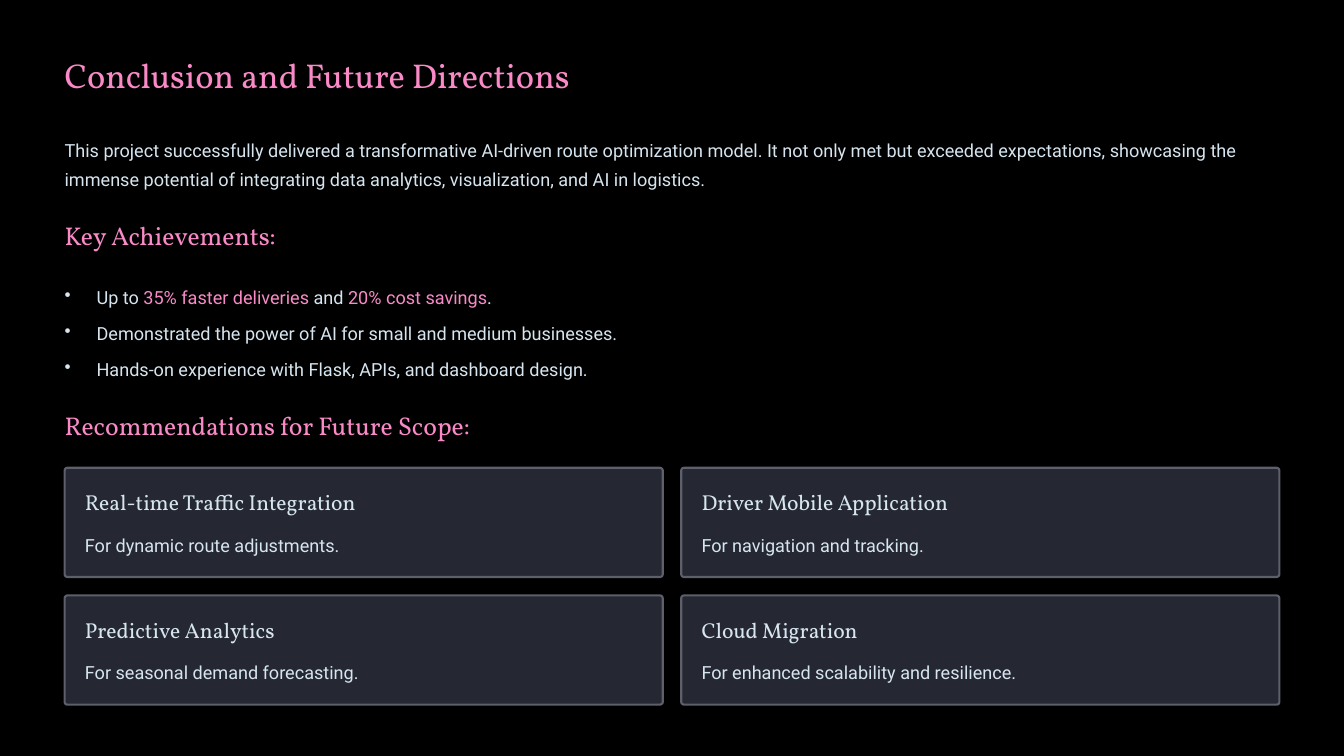
from lxml.etree import SubElement
from pptx import Presentation
from pptx.dml.color import RGBColor
from pptx.enum.shapes import MSO_SHAPE as SHAPE
from pptx.enum.text import MSO_ANCHOR as ANCHOR, MSO_AUTO_SIZE as AUTO, PP_ALIGN as ALIGN
from pptx.oxml.ns import qn
from pptx.util import Pt

BLACK = RGBColor(0x00, 0x00, 0x00)
PINK = RGBColor(0xF9, 0x8A, 0xC7)
PALE = RGBColor(0xD6, 0xE5, 0xEF)
CARD_FILL = RGBColor(0x25, 0x28, 0x33)
CARD_LINE = RGBColor(0x5D, 0x60, 0x6B)

SERIF, SANS = "Vollkorn", "Roboto"
# Text styles: font, size, line spacing
TITLE = (SERIF, 29.5, 37)
HEADING = (SERIF, 22, 27.5)
CARD_TITLE = (SERIF, 18.5, 23)
BODY = (SANS, 15.5, 25)

LEFT, WIDTH = 55.4, 1041.2
GAP = 15.8

INTRO = ("This project successfully delivered a transformative AI-driven route optimization model. "
         "It not only met but exceeded expectations, showcasing the immense potential of "
         "integrating data analytics, visualization, and AI in logistics.")
ACHIEVEMENTS = [
    [("Up to ", PALE), ("35% faster deliveries", PINK), (" and ", PALE),
     ("20% cost savings", PINK), (".", PALE)],
    [("Demonstrated the power of AI for small and medium businesses.", PALE)],
    [("Hands-on experience with Flask, APIs, and dashboard design.", PALE)],
]
RECOMMENDATIONS = [
    ("Real-time Traffic Integration", "For dynamic route adjustments."),
    ("Driver Mobile Application", "For navigation and tracking."),
    ("Predictive Analytics", "For seasonal demand forecasting."),
    ("Cloud Migration", "For enhanced scalability and resilience."),
]


def format_frame(tf, wrap=True):
    tf.margin_left = tf.margin_right = tf.margin_top = tf.margin_bottom = 0
    tf.vertical_anchor = ANCHOR.TOP
    tf.auto_size = AUTO.NONE
    tf.word_wrap = wrap


def write_runs(p, runs, style):
    font, size, spacing = style
    p.alignment = ALIGN.LEFT
    p.line_spacing = Pt(spacing)
    for text, color in runs:
        r = p.add_run()
        r.text = text
        r.font.name = font
        r.font.size = Pt(size)
        r.font.color.rgb = color


def add_text(slide, x, y, w, h, text, style, color):
    tf = slide.shapes.add_textbox(Pt(x), Pt(y), Pt(w), Pt(h)).text_frame
    format_frame(tf)
    write_runs(tf.paragraphs[0], [(text, color)], style)


def add_title(slide, x, y, w, h, text):
    sp = slide.shapes.title
    sp.left, sp.top, sp.width, sp.height = Pt(x), Pt(y), Pt(w), Pt(h)
    format_frame(sp.text_frame, wrap=False)
    write_runs(sp.text_frame.paragraphs[0], [(text, PINK)], TITLE)


def add_bullets(slide, x, y, w, h, items, indent=27.4):
    tf = slide.shapes.add_textbox(Pt(x), Pt(y), Pt(w), Pt(h)).text_frame
    format_frame(tf)
    for i, runs in enumerate(items):
        p = tf.add_paragraph() if i else tf.paragraphs[0]
        pPr = p._p.get_or_add_pPr()
        pPr.set("marL", str(Pt(indent)))
        pPr.set("indent", str(-Pt(indent)))
        SubElement(pPr, qn("a:buChar"), char="•")
        if i:
            p.space_before = Pt(6)
        write_runs(p, runs, BODY)


def add_card(slide, x, y, w, h, title, body, pad=17.4):
    sp = slide.shapes.add_shape(SHAPE.ROUNDED_RECTANGLE, Pt(x), Pt(y), Pt(w), Pt(h))
    sp.adjustments[0] = 0.025
    sp.shadow.inherit = False
    sp.fill.solid()
    sp.fill.fore_color.rgb = CARD_FILL
    sp.line.color.rgb = CARD_LINE
    sp.line.width = Pt(1.8)
    inner = w - 2 * pad
    add_text(slide, x + pad, y + pad, inner, 23, title, CARD_TITLE, PALE)
    add_text(slide, x + pad, y + 50.4, inner, 25, body, BODY, PALE)


def add_card_grid(slide, x, y, w, h, cards, cols=2):
    rows = len(cards) // cols
    card_w = (w - (cols - 1) * GAP) / cols
    card_h = (h - (rows - 1) * GAP) / rows
    for i, (title, body) in enumerate(cards):
        row, col = divmod(i, cols)
        add_card(slide, x + col * (card_w + GAP), y + row * (card_h + GAP),
                 card_w, card_h, title, body)


def build_conclusion(prs):
    slide = prs.slides.add_slide(prs.slide_layouts[5])
    slide.background.fill.solid()
    slide.background.fill.fore_color.rgb = BLACK
    add_title(slide, LEFT, 44.6, 466, 37.4, "Conclusion and Future Directions")
    add_text(slide, LEFT, 113, WIDTH, 50, INTRO, BODY, PALE)
    add_text(slide, LEFT, 187.2, WIDTH, 28, "Key Achievements:", HEADING, PINK)
    add_bullets(slide, LEFT, 239, WIDTH, 87, ACHIEVEMENTS)
    add_text(slide, LEFT, 349.9, WIDTH, 28, "Recommendations for Future Scope:", HEADING, PINK)
    add_card_grid(slide, LEFT, 401, WIDTH, 203, RECOMMENDATIONS)


def main():
    prs = Presentation()
    prs.slide_width, prs.slide_height = Pt(1152), Pt(648)
    build_conclusion(prs)
    prs.save("out.pptx")


if __name__ == "__main__":
    main()
